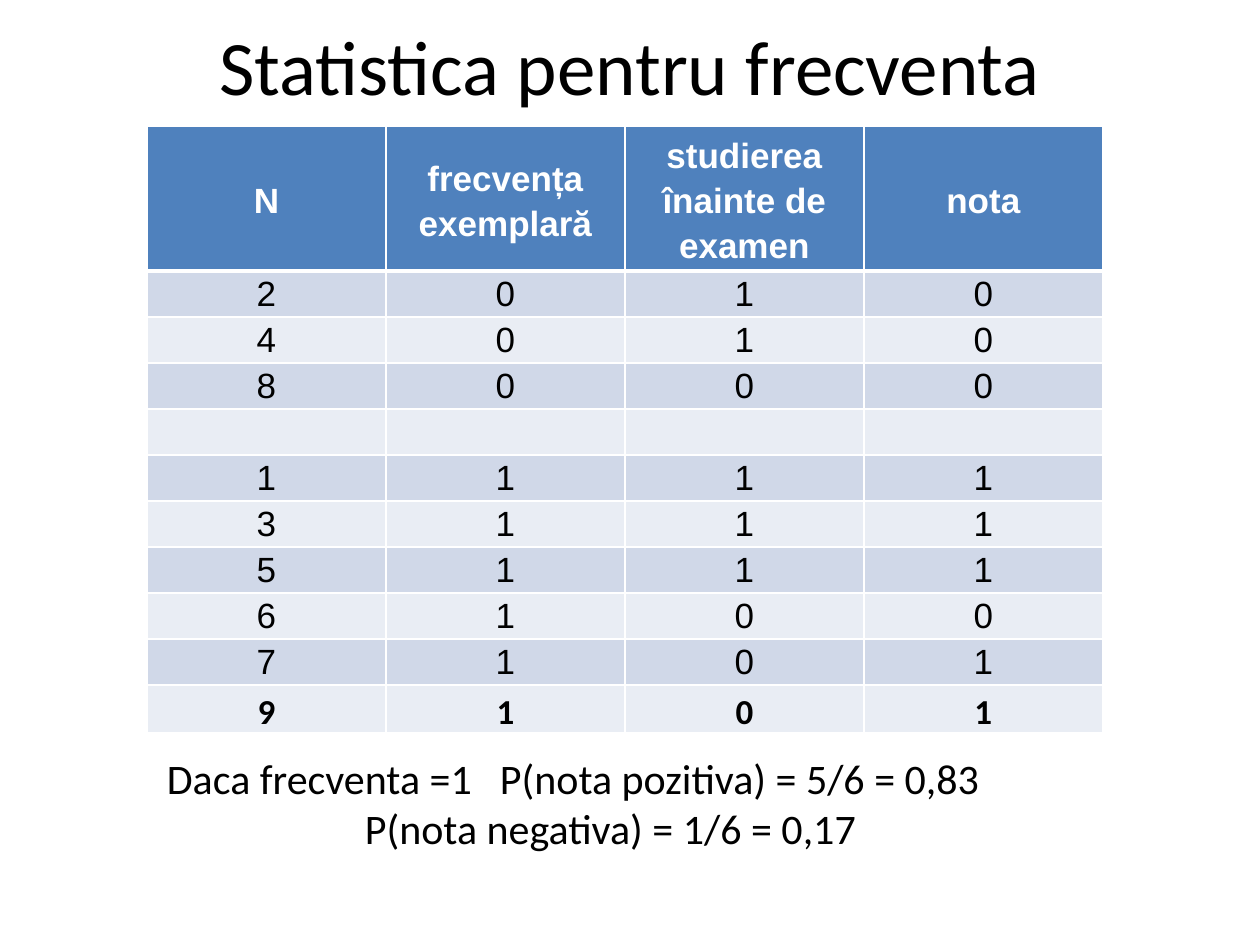
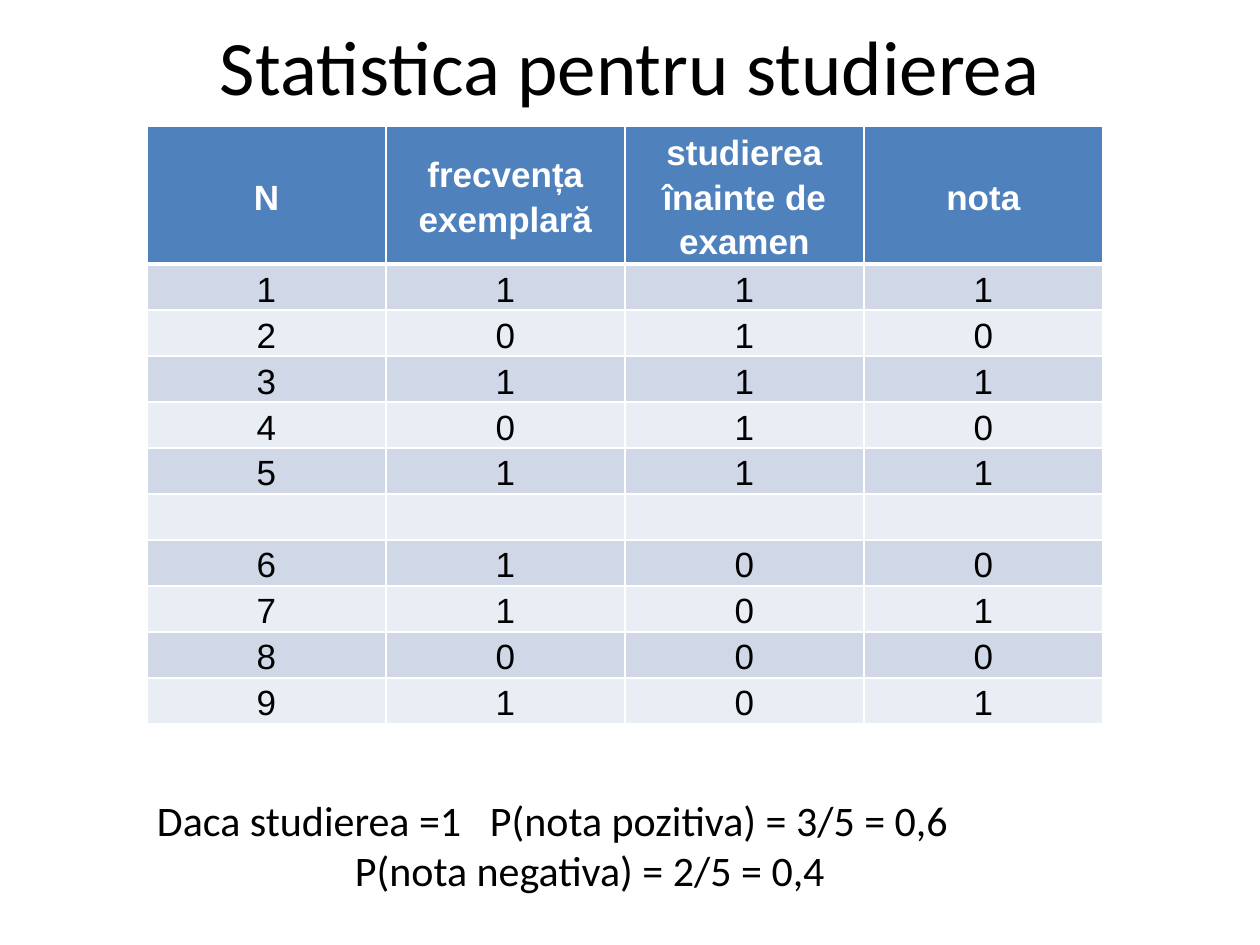
from dataclasses import dataclass

from lxml import etree
from pptx import Presentation
from pptx.dml.color import RGBColor
from pptx.enum.text import MSO_ANCHOR, PP_ALIGN
from pptx.oxml.ns import qn
from pptx.util import Pt

CENTER, LEFT = PP_ALIGN.CENTER, PP_ALIGN.LEFT
MIDDLE = MSO_ANCHOR.MIDDLE
EMU_PER_PX = 914400 / 126


@dataclass(frozen=True)
class Theme:
    ink: str = "000000"
    white: str = "FFFFFF"
    header: str = "4F81BD"
    band_dark: str = "D0D8E8"
    band_light: str = "E9EDF4"
    body_font: str = "Calibri"
    table_font: str = "Arial"
    title_size: int = 44
    note_size: int = 24
    table_size: int = 20


THEME = Theme()
HEADINGS = ["N", "frecvența exemplară", "studierea înainte de examen", "nota"]

# Exam records: N, attendance, study, mark; None leaves a row empty
BY_ATTENDANCE = [(2, 0, 1, 0), (4, 0, 1, 0), (8, 0, 0, 0), None,
                 (1, 1, 1, 1), (3, 1, 1, 1), (5, 1, 1, 1),
                 (6, 1, 0, 0), (7, 1, 0, 1), (9, 1, 0, 1)]
BY_STUDY = [(1, 1, 1, 1), (2, 0, 1, 0), (3, 1, 1, 1), (4, 0, 1, 0),
            (5, 1, 1, 1), None, (6, 1, 0, 0), (7, 1, 0, 1),
            (8, 0, 0, 0), (9, 1, 0, 1)]


def px(n):
    return round(n * EMU_PER_PX)


def place(sp, left, top, width, height):
    sp.left, sp.top = px(left), px(top)
    sp.width, sp.height = px(width), px(height)


def write(p, text, size, font=THEME.body_font, color=THEME.ink, bold=False,
          align=CENTER, spaced=False, indent=0, tab=None):
    """Fill one paragraph with a formatted run."""
    p.alignment = align
    if spaced:
        p.line_spacing, p.space_after = 1.15, Pt(10)
    pPr = p._p.get_or_add_pPr()
    if indent:
        pPr.set("marL", str(px(indent)))
        pPr.set("indent", "0")
    if tab:
        tabs = etree.SubElement(pPr, qn("a:tabLst"))
        etree.SubElement(tabs, qn("a:tab"), pos=str(px(tab)), algn="l")
    r = p.add_run()
    r.text = text
    r.font.size, r.font.name, r.font.bold = Pt(size), font, bold
    r.font.color.rgb = RGBColor.from_string(color)


def add_borders(cell, **widths):
    """Draw white cell edges; L, R, T and B override the 1 pt width."""
    tcPr = cell._tc.get_or_add_tcPr()
    for side in "LRTB":
        ln = etree.SubElement(tcPr, qn(f"a:ln{side}"),
                              w=str(Pt(widths.get(side, 1))))
        fill = etree.SubElement(ln, qn("a:solidFill"))
        etree.SubElement(fill, qn("a:srgbClr"), val=THEME.white)


def fill_cell(cell, text, fill, inset, borders, **fmt):
    add_borders(cell, **borders)
    cell.fill.solid()
    cell.fill.fore_color.rgb = RGBColor.from_string(fill)
    cell.vertical_anchor = MIDDLE
    cell.margin_left = cell.margin_right = px(inset)
    cell.margin_top = cell.margin_bottom = 0
    if text:
        write(cell.text_frame.paragraphs[0], text, THEME.table_size, **fmt)


def add_title(slide, text):
    sp = slide.shapes.title
    place(sp, 63, 10, 1134, 110)
    sp.text_frame.vertical_anchor = MIDDLE
    write(sp.text_frame.paragraphs[0], text, THEME.title_size)


def add_records(slide, records, heights, spaced, last_format):
    """Add the table; last_format changes the look of its last row."""
    table = slide.shapes.add_table(len(records) + 1, len(HEADINGS), px(147),
                                   px(126), px(956), px(sum(heights))).table
    for col in table.columns:
        col.width = px(239)
    for row, height in zip(table.rows, heights):
        row.height = px(height)

    for c, heading in enumerate(HEADINGS):
        fill_cell(table.cell(0, c), heading, THEME.header, 9, {"B": 3},
                  font=THEME.table_font, color=THEME.white, bold=True,
                  spaced=True)
    for i, record in enumerate(records, 1):
        band = THEME.band_dark if i % 2 else THEME.band_light
        fmt = {"font": THEME.table_font, "spaced": spaced}
        if i == len(records):
            fmt.update(last_format)
        for c, value in enumerate(record or [""] * len(HEADINGS)):
            fill_cell(table.cell(i, c), str(value), band,
                      9 if fmt["spaced"] else 1,
                      {"T": 3} if i == 1 else {}, **fmt)


def add_probabilities(slide, left, top, inset, condition, positive, negative):
    sp = slide.shapes.add_textbox(px(left), px(top), px(1187), px(114))
    tf = sp.text_frame
    tf.word_wrap = True
    tf.margin_left = px(inset)
    write(tf.paragraphs[0], f"{condition}\tP(nota pozitiva) = {positive}",
          THEME.note_size, align=LEFT, tab=333)
    write(tf.add_paragraph(), f"P(nota negativa) = {negative}",
          THEME.note_size, align=LEFT, indent=198)


def main():
    prs = Presentation()
    prs.slide_width, prs.slide_height = px(1260), px(945)
    title_only = prs.slide_layouts[5]

    # Attendance
    s = prs.slides.add_slide(title_only)
    add_title(s, "Statistica pentru frecventa")
    add_probabilities(s, 21, 746, 146, "Daca frecventa =1",
                      "5/6 = 0,83", "1/6 = 0,17")
    add_records(s, BY_ATTENDANCE, [144] + [46] * 9 + [48], False,
                {"font": THEME.body_font, "bold": True, "spaced": True})

    # Study before the exam
    s = prs.slides.add_slide(title_only)
    add_title(s, "Statistica pentru studierea")
    add_records(s, BY_STUDY, [138] + [46] * 10, True, {})
    add_probabilities(s, 0, 788, 157, "Daca studierea =1",
                      "3/5 = 0,6", "2/5 = 0,4")

    prs.save("out.pptx")


if __name__ == "__main__":
    main()
